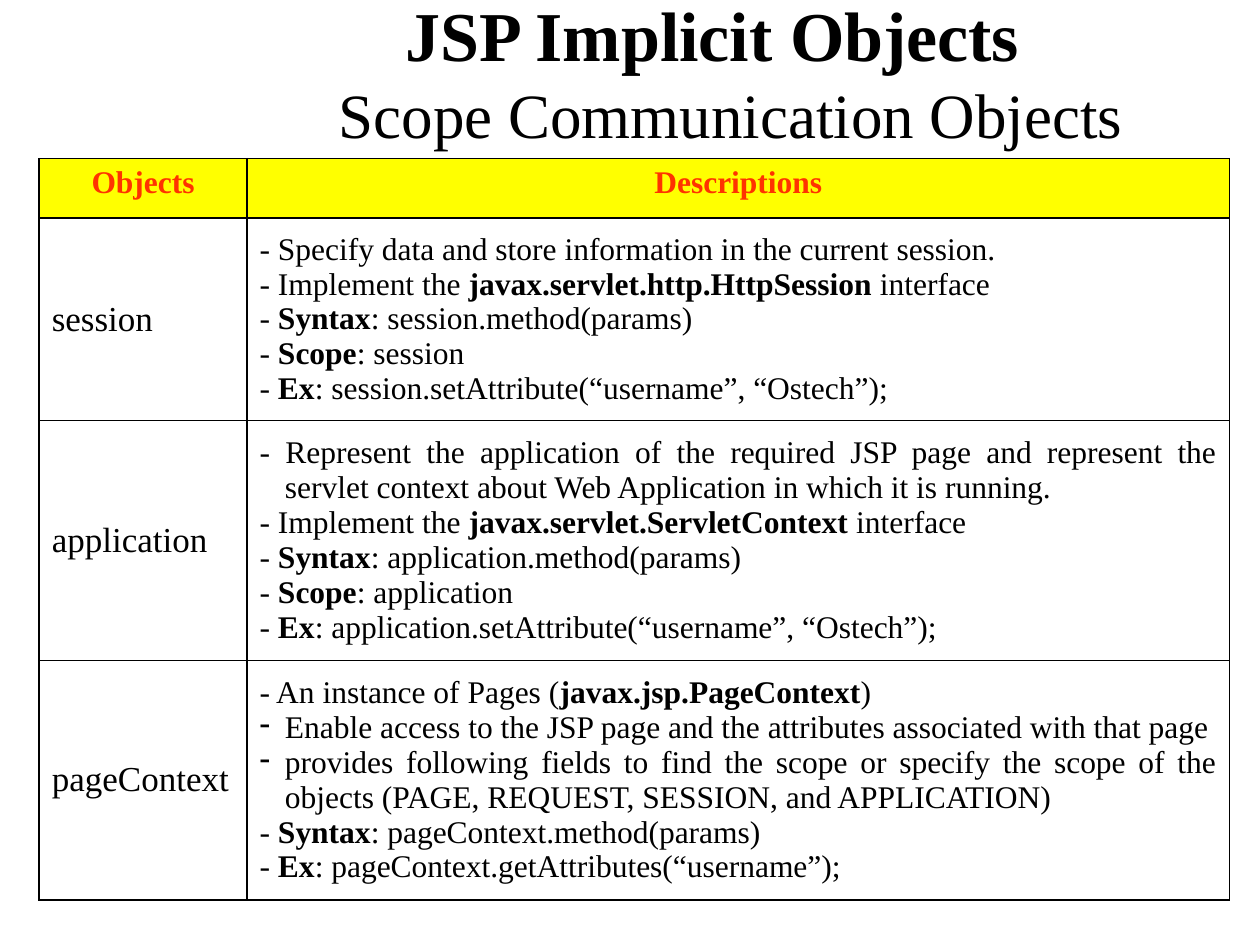
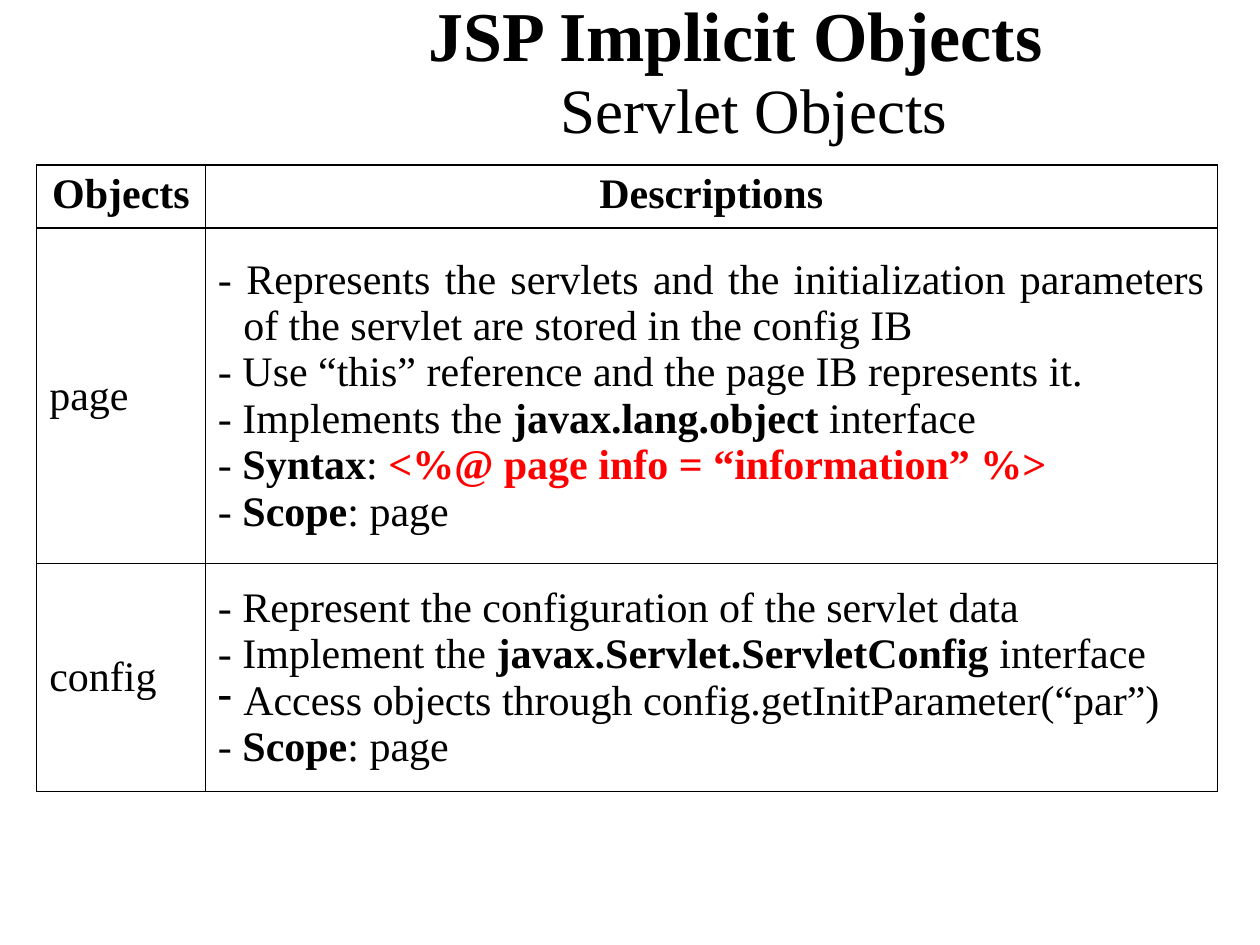
from dataclasses import dataclass

from lxml.etree import SubElement as Sub
from pptx import Presentation
from pptx.dml.color import RGBColor as Color
from pptx.enum.text import MSO_ANCHOR as Anchor, PP_ALIGN as Align
from pptx.oxml.ns import qn
from pptx.util import Cm, Pt

# Shared look
FONT = "Times New Roman"
BLACK = Color(0x00, 0x00, 0x00)
RED = Color(0xFF, 0x00, 0x00)
ORANGE = Color(0xFF, 0x33, 0x00)
YELLOW = Color(0xFF, 0xFF, 0x00)
WIDTH, HEIGHT = 25.4, 19.05
HEAD_DENT, LIST_DENT = 0.97, 0.51


@dataclass
class Row:
    name: str
    lines: list[str]


@dataclass
class Page:
    topic: str
    title_x: float
    title_h: float
    space: float
    left: float
    top: float
    cols: list[float]
    heights: list[float]
    rows: list[Row]
    body_size: int
    name_size: int
    name_align: Align
    head_ink: Color = BLACK
    head_fill: Color | None = None


def write(para, text: str, *, size: int, bold: bool = False, ink: Color = BLACK,
          align: Align = Align.LEFT, dent: float = 0, space: float = 1,
          dash: bool = False) -> None:
    """Add text; parts between asterisks are bold, and page directives red."""
    para.alignment = align
    para.line_spacing = space
    props = para._p.get_or_add_pPr()
    if dent:
        props.set("marL", str(Cm(dent)))
        props.set("indent", str(-Cm(dent)))
    if dash:
        Sub(props, qn("a:buChar"), char="-")
    for i, part in enumerate(text.split("*")):
        if part:
            run = para.add_run()
            run.text = part
            font = run.font
            font.name, font.size = FONT, Pt(size)
            font.bold = bold or i % 2 == 1
            font.color.rgb = RED if part.startswith("<%") else ink


def frame_cell(cell, fill: Color | None = None) -> None:
    """Give a cell thin black borders and an optional fill."""
    props = cell._tc.get_or_add_tcPr()
    for side in ("lnL", "lnR", "lnT", "lnB"):
        line = Sub(props, qn(f"a:{side}"), w=str(Pt(1)))
        solid = Sub(line, qn("a:solidFill"))
        Sub(solid, qn("a:srgbClr"), val=str(BLACK))
    if fill is None:
        cell.fill.background()
    else:
        cell.fill.solid()
        cell.fill.fore_color.rgb = fill


def draw_title(slide, page: Page) -> None:
    box = slide.shapes.add_textbox(Cm(page.title_x), 0,
                                   Cm(WIDTH - page.title_x), Cm(page.title_h))
    frame = box.text_frame
    frame.word_wrap = True
    frame.vertical_anchor = Anchor.MIDDLE
    para = frame.paragraphs[0]
    look = dict(align=Align.CENTER, space=page.space)
    write(para, "JSP Implicit Objects ", size=40, bold=True, **look)
    para.add_line_break()
    write(para, " ", size=44, bold=True, **look)
    write(para, page.topic, size=36, **look)


def draw_table(slide, page: Page) -> None:
    shape = slide.shapes.add_table(
        len(page.heights), len(page.cols), Cm(page.left), Cm(page.top),
        Cm(sum(page.cols)), Cm(sum(page.heights)))
    table = shape.table
    table.first_row = table.horz_banding = False
    for col, width in zip(table.columns, page.cols):
        col.width = Cm(width)
    for row, height in zip(table.rows, page.heights):
        row.height = Cm(height)

    # Header
    for cell, label in zip(table.rows[0].cells, ("Objects", "Descriptions")):
        frame_cell(cell, page.head_fill)
        write(cell.text_frame.paragraphs[0], label, size=page.body_size, bold=True,
              ink=page.head_ink, align=Align.CENTER, dent=HEAD_DENT)

    # Body: a line without its own "- " gets a dash bullet
    for r, row in enumerate(page.rows, 1):
        name, desc = table.cell(r, 0), table.cell(r, 1)
        for cell in (name, desc):
            frame_cell(cell)
            cell.vertical_anchor = Anchor.MIDDLE
        write(name.text_frame.paragraphs[0], row.name, size=page.name_size,
              align=page.name_align, dent=HEAD_DENT)
        frame = desc.text_frame
        for i, line in enumerate(row.lines):
            para = frame.add_paragraph() if i else frame.paragraphs[0]
            write(para, line, size=page.body_size, align=Align.JUSTIFY,
                  dent=LIST_DENT, dash=not line.startswith("- "))


PAGES = [
    Page(
        topic="Scope Communication Objects", title_x=3.68, title_h=3.2, space=0.85,
        left=0.79, top=3.2, cols=[4.19, 19.81], heights=[1.19, 4.09, 4.83, 4.83],
        body_size=18, name_size=20, name_align=Align.JUSTIFY,
        head_ink=ORANGE, head_fill=YELLOW,
        rows=[
            Row("session", [
                "- Specify data and store information in the current session.",
                "- Implement the *javax.servlet.http.HttpSession* interface",
                "- *Syntax*: session.method(params)",
                "- *Scope*: session",
                "- *Ex*: session.setAttribute(“username”, “Ostech”);"]),
            Row("application", [
                "- Represent the application of the required JSP page and represent the "
                "servlet context about Web Application in which it is running.",
                "- Implement the *javax.servlet.ServletContext* interface",
                "- *Syntax*: application.method(params)",
                "- *Scope*: application",
                "- *Ex*: application.setAttribute(“username”, “Ostech”);"]),
            Row("pageContext", [
                "- An instance of Pages (*javax.jsp.PageContext*)",
                "Enable access to the JSP page and the attributes associated with that page",
                "provides following fields to find the scope or specify the scope of the "
                "objects (PAGE, REQUEST, SESSION, and APPLICATION)",
                "- *Syntax*: pageContext.method(params)",
                "- *Ex*: pageContext.getAttributes(“username”);"]),
        ]),
    Page(
        topic="Servlet Objects", title_x=4.62, title_h=3.15, space=0.8,
        left=0.74, top=3.33, cols=[3.4, 20.4], heights=[1.27, 6.76, 4.6],
        body_size=24, name_size=24, name_align=Align.LEFT,
        rows=[
            Row("page", [
                "- Represents the servlets and the initialization parameters of the "
                "servlet are stored in the config IB",
                "- Use “this” reference and the page IB represents it.",
                "- Implements the *javax.lang.object* interface",
                "- *Syntax*: *<%@ page info = “information” %>*",
                "- *Scope*: page"]),
            Row("config", [
                "- Represent the configuration of the servlet data",
                "- Implement the *javax.Servlet.ServletConfig* interface",
                "Access objects through config.getInitParameter(“par”)",
                "- *Scope*: page"]),
        ]),
]


def main() -> None:
    deck = Presentation()
    deck.slide_width, deck.slide_height = Cm(WIDTH), Cm(HEIGHT)
    for page in PAGES:
        slide = deck.slides.add_slide(deck.slide_layouts[6])
        draw_title(slide, page)
        draw_table(slide, page)
    deck.save("out.pptx")


if __name__ == "__main__":
    main()
